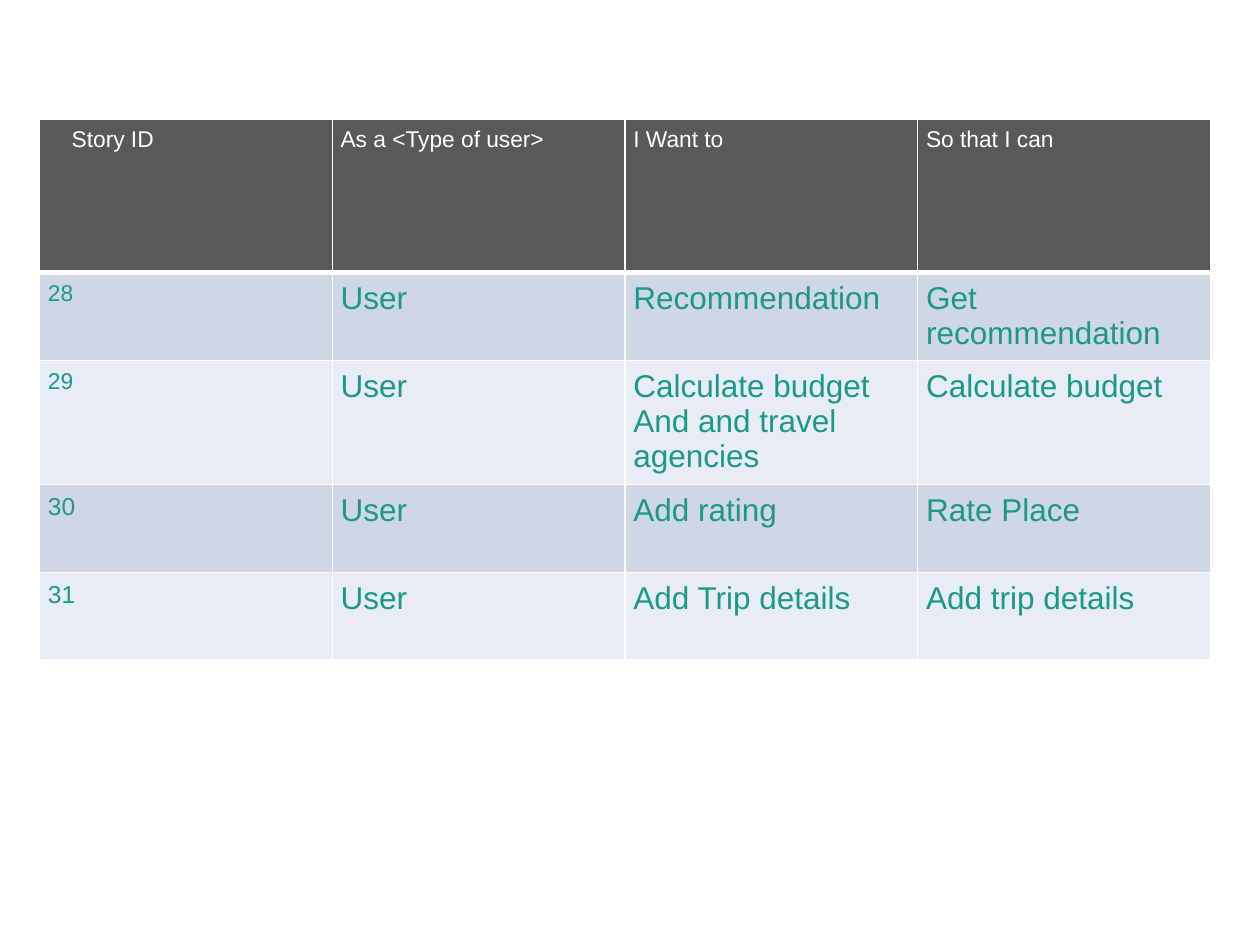
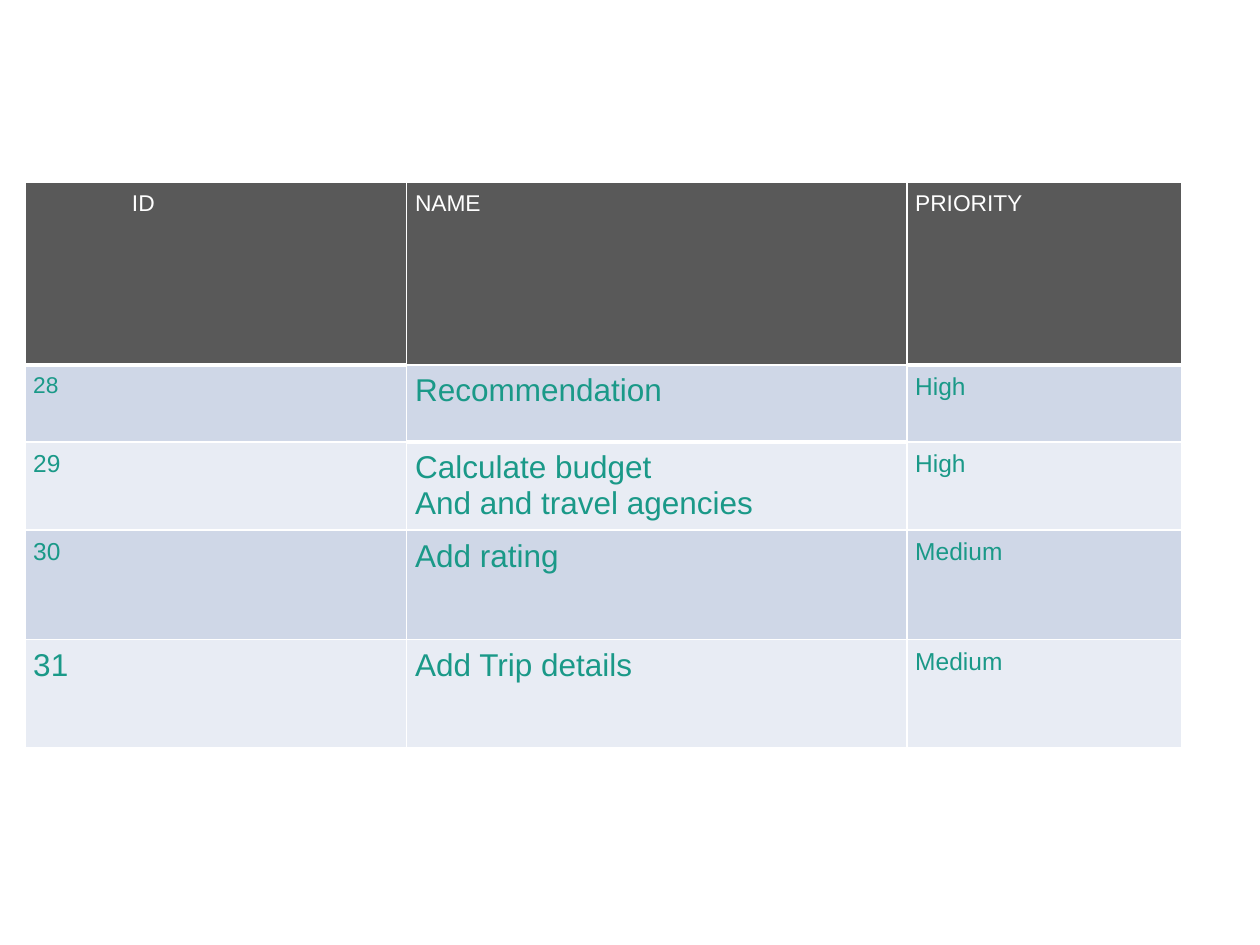
from dataclasses import dataclass

from lxml import etree
from pptx import Presentation
from pptx.dml.color import RGBColor
from pptx.oxml import ns
from pptx.util import Pt


@dataclass(frozen=True)
class Theme:
    font: str = "Arial"
    header_fill: str = "595959"
    header_text: str = "FFFFFF"
    body_text: str = "1A9988"
    bands: tuple[str, str] = ("CFD7E7", "E8ECF4")
    border: str = "FFFFFF"
    thin: float = 1
    thick: float = 3
    inset: float = 4.8
    small: float = 13
    medium: float = 14
    large: float = 18


@dataclass(frozen=True)
class Entry:
    text: str
    size: float


@dataclass(frozen=True)
class StoryTable:
    left: float
    top: float
    widths: tuple[float, ...]
    heights: tuple[float, ...]
    first_indent: float  # left margin of the first heading
    thick_below: tuple[int, ...]  # per column, the row with the heavy rule under it
    rows: list[list[Entry]]


THEME = Theme()


def small(value: str) -> Entry:
    return Entry(value, THEME.small)


def medium(value: str) -> Entry:
    return Entry(value, THEME.medium)


def large(value: str) -> Entry:
    return Entry(value, THEME.large)


RECOMMEND = large("Recommendation")
BUDGET = large("Calculate budget\nAnd and travel agencies")
RATING = large("Add rating")
TRIP = large("Add Trip details")
USER = large("User")

TABLES = [
    StoryTable(
        left=22.6, top=68, widths=(167.3,) * 4,
        heights=(87.6, 50.4, 70.8, 50.3, 50),
        first_indent=18.4, thick_below=(0, 0, 0, 0),
        rows=[
            [small(t) for t in ("Story ID", "As a <Type of user>",
                                "I Want to", "So that I can")],
            [small("28"), USER, RECOMMEND, large("Get recommendation")],
            [small("29"), USER, BUDGET, large("Calculate budget")],
            [medium("30"), USER, RATING, large("Rate Place")],
            [medium("31"), USER, TRIP, large("Add trip details")],
        ],
    ),
    StoryTable(
        left=14.2, top=104.4, widths=(218.2, 285.8, 157),
        heights=(104.2, 44, 50.4, 62.4, 62.2),
        first_indent=61.2, thick_below=(0, 1, 0),
        rows=[
            [small(t) for t in ("ID", "NAME", "PRIORITY")],
            [small("28"), RECOMMEND, medium("High")],
            [medium("29"), BUDGET, medium("High")],
            [medium("30"), RATING, medium("Medium")],
            [large("31"), TRIP, medium("Medium")],
        ],
    ),
]


def set_borders(cell, top: float, bottom: float) -> None:
    tc_pr = cell._tc.get_or_add_tcPr()
    sides = {"L": THEME.thin, "R": THEME.thin, "T": top, "B": bottom}
    for side, width in sides.items():
        line = etree.SubElement(tc_pr, ns.qn(f"a:ln{side}"), w=str(Pt(width)))
        fill = etree.SubElement(line, ns.qn("a:solidFill"))
        etree.SubElement(fill, ns.qn("a:srgbClr"), val=THEME.border)


def write_cell(cell, entry: Entry, fill: str, color: str) -> None:
    cell.fill.solid()
    cell.fill.fore_color.rgb = RGBColor.from_string(fill)
    cell.margin_left = cell.margin_right = Pt(THEME.inset)
    cell.margin_top = cell.margin_bottom = Pt(THEME.inset)
    tf = cell.text_frame
    for i, words in enumerate(entry.text.split("\n")):
        p = tf.add_paragraph() if i else tf.paragraphs[0]
        r = p.add_run()
        r.text = words
        r.font.name = THEME.font
        r.font.size = Pt(entry.size)
        r.font.bold = False
        r.font.color.rgb = RGBColor.from_string(color)


def draw_table(s, story: StoryTable) -> None:
    table = s.shapes.add_table(
        len(story.heights), len(story.widths), Pt(story.left), Pt(story.top),
        Pt(sum(story.widths)), Pt(sum(story.heights))).table
    table.first_row = table.horz_banding = False
    for column, width in zip(table.columns, story.widths):
        column.width = Pt(width)
    for row, height in zip(table.rows, story.heights):
        row.height = Pt(height)

    for i, entries in enumerate(story.rows):
        fill = THEME.bands[(i - 1) % 2] if i else THEME.header_fill
        color = THEME.body_text if i else THEME.header_text
        for j, entry in enumerate(entries):
            cell = table.cell(i, j)
            heavy = story.thick_below[j]
            set_borders(cell,
                        top=THEME.thick if i == heavy + 1 else THEME.thin,
                        bottom=THEME.thick if i == heavy else THEME.thin)
            write_cell(cell, entry, fill, color)
    table.cell(0, 0).margin_left = Pt(story.first_indent)


def main() -> None:
    prs = Presentation()
    prs.slide_width, prs.slide_height = Pt(720), Pt(540)
    for story in TABLES:
        draw_table(prs.slides.add_slide(prs.slide_layouts[6]), story)
    prs.save("out.pptx")


if __name__ == "__main__":
    main()
